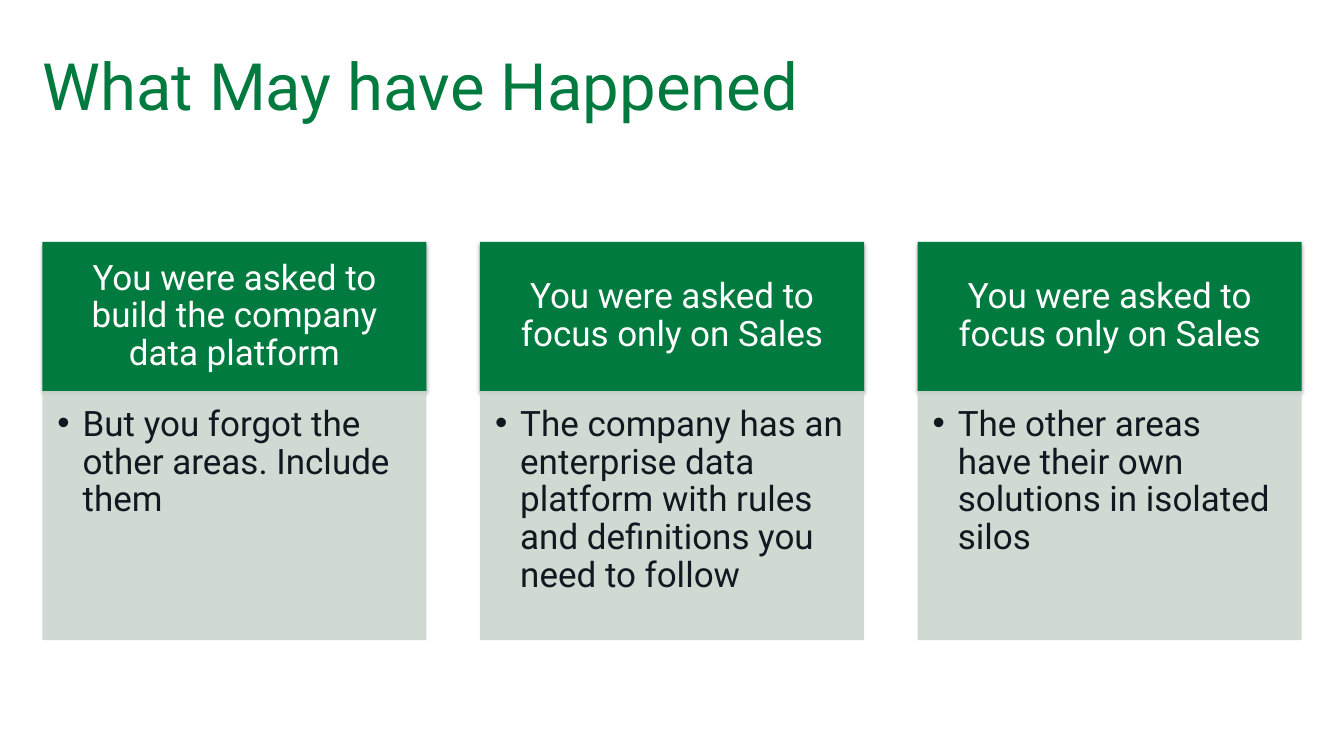
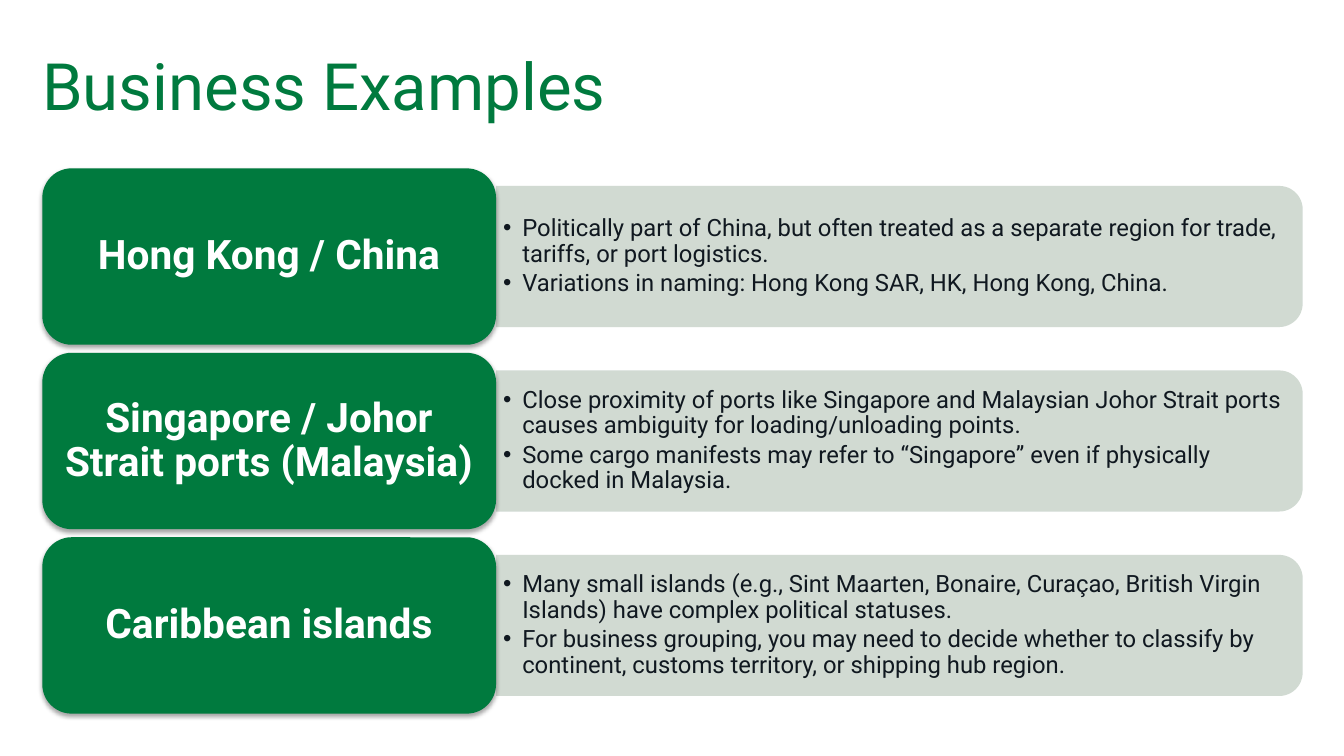
from lxml import etree
from pptx import Presentation
from pptx.dml.color import RGBColor
from pptx.enum.shapes import MSO_SHAPE
from pptx.enum.text import MSO_ANCHOR, PP_ALIGN
from pptx.oxml.ns import qn
from pptx.util import Inches, Pt

GREEN = RGBColor(0x00, 0x7A, 0x3E)
SAGE = RGBColor(0xCC, 0xD7, 0xCE)
INK = RGBColor(0x10, 0x18, 0x20)
WHITE = RGBColor(0xFF, 0xFF, 0xFF)
BLACK = RGBColor(0x00, 0x00, 0x00)

RECTANGLE = MSO_SHAPE.RECTANGLE
ROUNDED = MSO_SHAPE.ROUNDED_RECTANGLE
TWO_ROUNDED = MSO_SHAPE.ROUND_2_SAME_RECTANGLE
LEFT, CENTER = PP_ALIGN.LEFT, PP_ALIGN.CENTER
TOP, MIDDLE = MSO_ANCHOR.TOP, MSO_ANCHOR.MIDDLE

FONT = "Roboto"
TITLE_ONLY = 5
MARGIN = 0.42
TITLE_FONT = {"name": FONT, "size": Pt(46.6), "bold": False}
CARD_FONT = {"name": FONT, "size": Pt(25)}
LABEL_FONT = {"name": FONT, "size": Pt(29), "bold": True}
DETAIL_FONT = {"name": FONT, "size": Pt(17)}

CARDS = [
    ("You were asked to build the company data platform",
     "But you forgot the other areas. Include them"),
    ("You were asked to focus only on Sales",
     "The company has an enterprise data platform with rules and definitions you need to follow"),
    ("You were asked to focus only on Sales",
     "The other areas have their own solutions in isolated silos"),
]
EXAMPLES = [
    ("Hong Kong / China", [
        "Politically part of China, but often treated as a separate region for trade, tariffs, or port logistics.",
        "Variations in naming: Hong Kong SAR, HK, Hong Kong, China."]),
    ("Singapore / Johor Strait ports (Malaysia)", [
        "Close proximity of ports like Singapore and Malaysian Johor Strait ports causes ambiguity for loading/unloading points.",
        "Some cargo manifests may refer to “Singapore” even if physically docked in Malaysia."]),
    ("Caribbean islands", [
        "Many small islands (e.g., Sint Maarten, Bonaire, Curaçao, British Virgin Islands) have complex political statuses.",
        "For business grouping, you may need to decide whether to classify by continent, customs territory, or shipping hub region."]),
]


def set_attributes(target, values):
    for name, value in values.items():
        setattr(target, name, value)


def set_frame(frame, anchor, insets):
    sides = ("margin_left", "margin_top", "margin_right", "margin_bottom")
    set_attributes(frame, dict(zip(sides, map(Inches, insets))))
    set_attributes(frame, {"word_wrap": True, "vertical_anchor": anchor})


def add_run(paragraph, text, font, color):
    run = paragraph.add_run()
    run.text = text
    set_attributes(run.font, font)
    run.font.color.rgb = color


def add_bullet(paragraph, indent):
    properties = paragraph._p.get_or_add_pPr()
    properties.set("marL", str(Inches(indent)))
    properties.set("indent", str(-Inches(indent)))
    etree.SubElement(properties, qn("a:buFont")).set("typeface", "Arial")
    etree.SubElement(properties, qn("a:buChar")).set("char", "•")


def write_heading(shape, text, font, insets):
    set_frame(shape.text_frame, MIDDLE, insets)
    paragraph = shape.text_frame.paragraphs[0]
    set_attributes(paragraph, {"alignment": CENTER, "line_spacing": 0.9})
    add_run(paragraph, text, font, WHITE)


def write_bullets(shape, texts, font, indent, anchor, insets):
    frame = shape.text_frame
    set_frame(frame, anchor, insets)
    for index, text in enumerate(texts):
        paragraph = frame.add_paragraph() if index else frame.paragraphs[0]
        add_bullet(paragraph, indent)
        set_attributes(paragraph, {"level": 1, "alignment": LEFT, "line_spacing": 0.9,
                                   "space_after": Pt(0.15 * font["size"].pt)})
        add_run(paragraph, text, font, INK)


def add_block(slide, kind, left, top, width, height, color):
    shape = slide.shapes.add_shape(kind, *map(Inches, (left, top, width, height)))
    shape.shadow.inherit = False
    shape.fill.solid()
    shape.fill.fore_color.rgb = color
    shape.line.fill.background()
    return shape


def set_alpha(color_element, percent):
    etree.SubElement(color_element, qn("a:alpha")).set("val", str(percent * 1000))


def add_green_block(slide, kind, left, top, width, height):
    shape = add_block(slide, kind, left, top, width, height, GREEN)
    effects = shape._element.spPr.find(qn("a:effectLst"))
    shadow = etree.SubElement(effects, qn("a:outerShdw"), blurRad=str(Pt(3.1)),
                              dist=str(Pt(1.8)), dir="5400000", rotWithShape="0")
    color = etree.SubElement(shadow, qn("a:srgbClr"), val=str(BLACK))
    set_alpha(color, 35)
    return shape


def add_pale_block(slide, kind, left, top, width, height):
    shape = add_block(slide, kind, left, top, width, height, SAGE)
    set_alpha(shape._element.spPr.find(qn("a:solidFill"))[0], 90)
    return shape


def add_titled_slide(presentation, text):
    slide = presentation.slides.add_slide(presentation.slide_layouts[TITLE_ONLY])
    title = slide.shapes.title
    set_attributes(title, {"left": Inches(MARGIN), "top": Inches(0.42),
                           "width": Inches(12.5), "height": Inches(0.83)})
    set_frame(title.text_frame, MIDDLE, (0, 0, 0, 0))
    paragraph = title.text_frame.paragraphs[0]
    paragraph.alignment = LEFT
    add_run(paragraph, text, TITLE_FONT, GREEN)
    return slide


def add_card(slide, left, heading, body):
    top, width, heading_height, body_height = 2.4, 3.81, 1.48, 2.47
    header = add_green_block(slide, RECTANGLE, left, top, width, heading_height)
    write_heading(header, heading, CARD_FONT, (0.19, 0.11, 0.19, 0.11))
    panel = add_pale_block(slide, RECTANGLE, left, top + heading_height, width, body_height)
    write_bullets(panel, [body], CARD_FONT, 0.25, TOP, (0.15, 0.15, 0.19, 0.22))


def add_example(slide, top, label, details):
    label_width, label_height = 4.5, 1.75
    bar_length, bar_height = 8, 1.4
    bar_left = MARGIN + label_width
    middle = top + label_height / 2
    bar = add_pale_block(slide, TWO_ROUNDED, bar_left + (bar_length - bar_height) / 2,
                         middle - bar_length / 2, bar_height, bar_length)
    bar.rotation = 90
    text_width, text_height = 7.93, 1.26
    detail_box = slide.shapes.add_textbox(Inches(bar_left), Inches(middle - text_height / 2),
                                          Inches(text_width), Inches(text_height))
    write_bullets(detail_box, details, DETAIL_FONT, 0.19, MIDDLE, (0.07, 0.04, 0.07, 0.04))
    block = add_green_block(slide, ROUNDED, MARGIN, top, label_width, label_height)
    write_heading(block, label, LABEL_FONT, (0.12, 0.06, 0.12, 0.06))


def main():
    presentation = Presentation()
    presentation.slide_width = Inches(13.33)
    presentation.slide_height = Inches(7.5)

    slide = add_titled_slide(presentation, "What May have Happened")
    for column, (heading, body) in enumerate(CARDS):
        add_card(slide, MARGIN + column * 4.34, heading, body)

    slide = add_titled_slide(presentation, "Business Examples")
    for row, (label, details) in enumerate(EXAMPLES):
        add_example(slide, 1.67 + row * 1.83, label, details)

    presentation.save("out.pptx")


if __name__ == "__main__":
    main()
